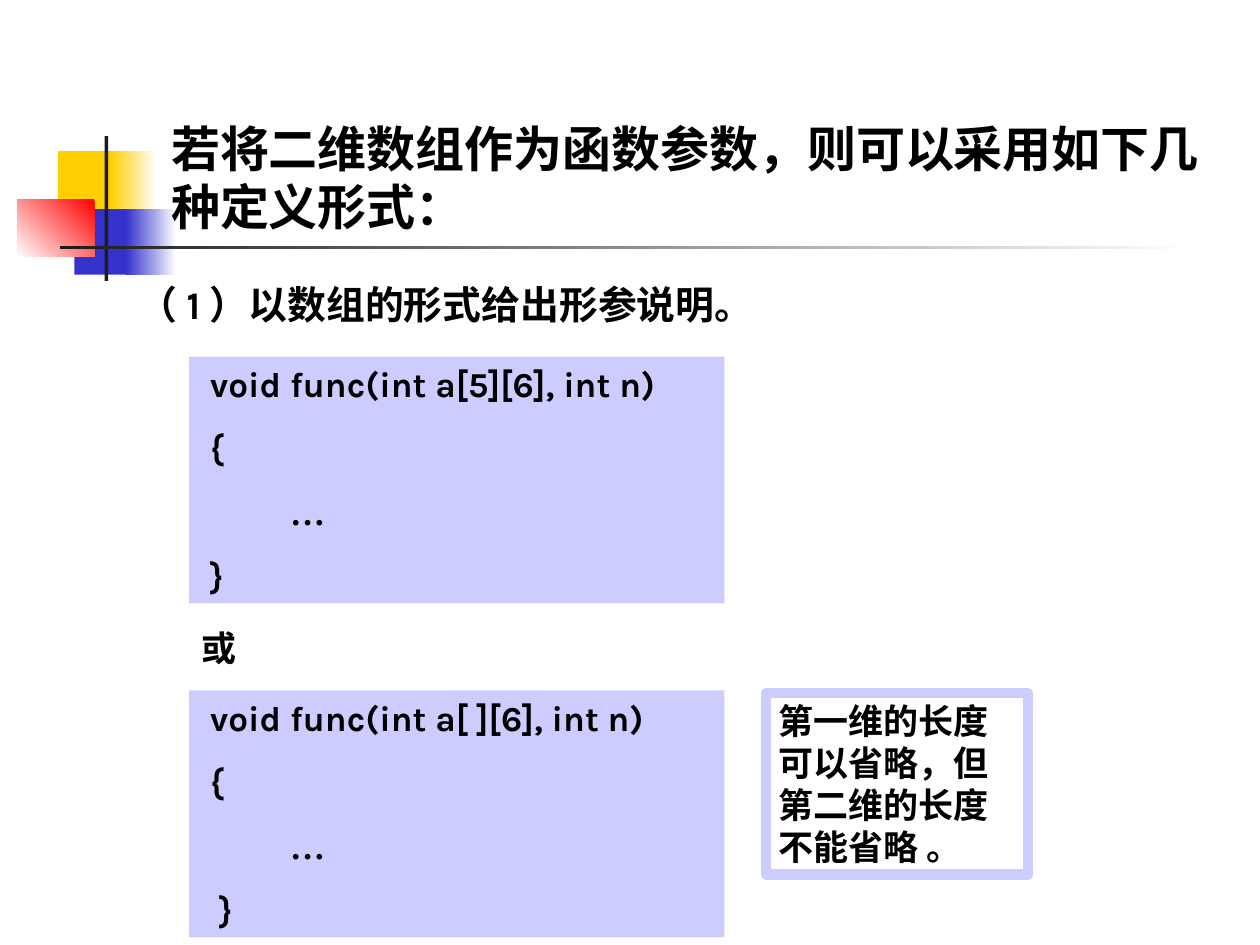
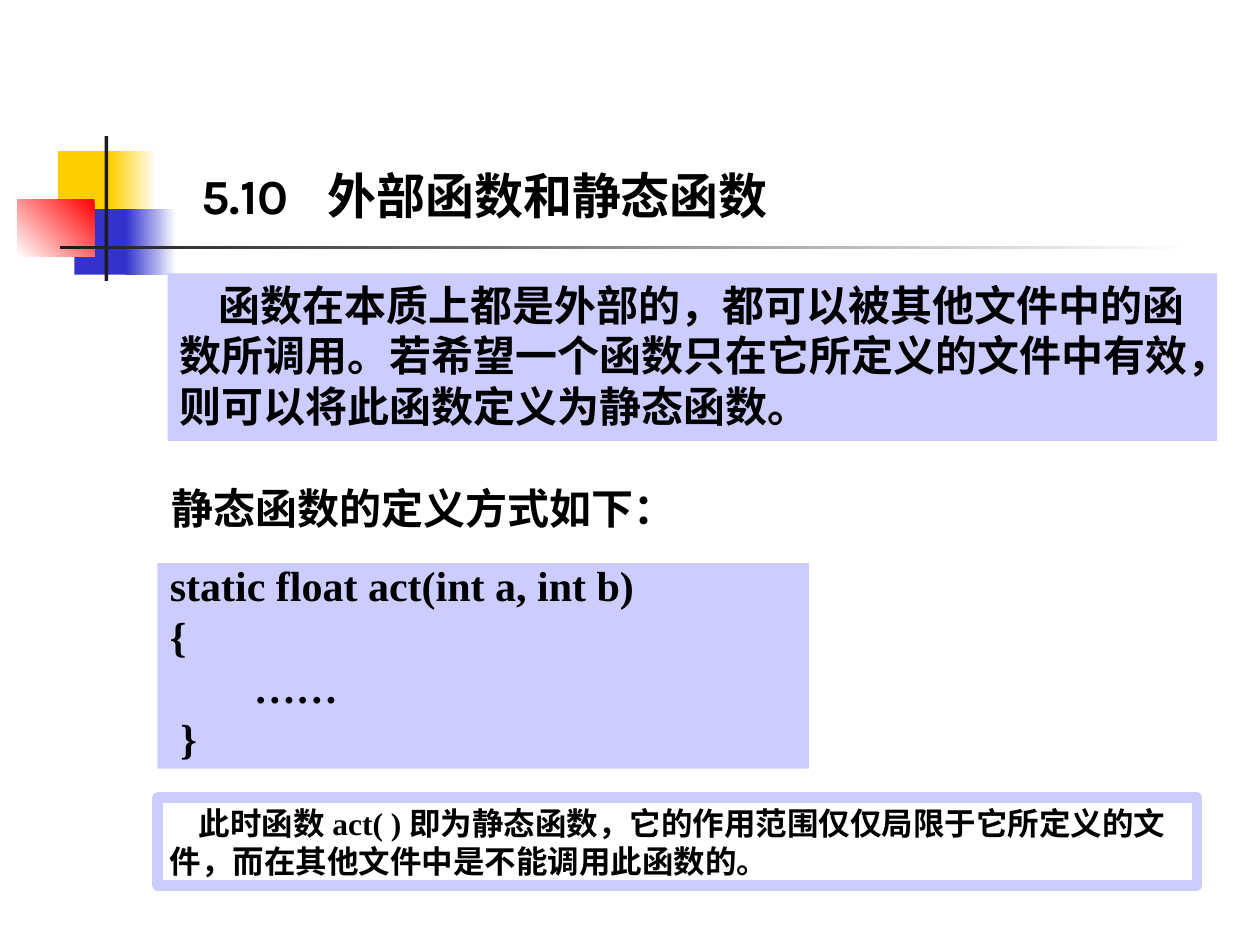
"""Builds two slides on array parameters and static functions in C."""
from lxml import etree
from pptx import Presentation
from pptx.dml.color import RGBColor
from pptx.enum import shapes, text
from pptx.oxml.ns import qn
from pptx.util import Pt

PX = 9144
GOLD = RGBColor(0xFF, 0xCF, 0x01)
BLUE = RGBColor(0x33, 0x33, 0xCC)
RED = RGBColor(0xFF, 0x00, 0x00)
DARK = RGBColor(0x1C, 0x1C, 0x1C)
LILAC = RGBColor(0xCC, 0xCC, 0xFF)
WHITE = RGBColor(0xFF, 0xFF, 0xFF)
BLACK = RGBColor(0x00, 0x00, 0x00)
KARLA, HAN, TIMES = "Karla", "Noto Sans CJK SC", "Times New Roman"


def panel(slide, place, fill=None, edge=None):
    shape = slide.shapes.add_shape(shapes.MSO_SHAPE.RECTANGLE, *[n * PX for n in place])
    shape.shadow.inherit = False
    if fill:
        shape.fill.solid()
        shape.fill.fore_color.rgb = fill
    else:
        shape.fill.background()
    if edge:
        shape.line.color.rgb = edge
        shape.line.width = Pt(6)
    else:
        shape.line.fill.background()
    return shape


def write(shape, size, paras, gap=0, lead=None, left=0, indent=0, tab=0, anchor=text.MSO_ANCHOR.TOP):
    frame = shape.text_frame
    frame.word_wrap = True
    frame.vertical_anchor = anchor
    for i, runs in enumerate(paras):
        para = frame.add_paragraph() if i else frame.paragraphs[0]
        para.alignment = text.PP_ALIGN.LEFT
        para.space_before = Pt(gap if i else 0)
        if lead:
            para.line_spacing = lead
        props = para._p.get_or_add_pPr()
        props.set("marL", str(left * PX))
        props.set("indent", str(indent * PX))
        if tab:
            stops = etree.SubElement(props, qn("a:tabLst"))
            etree.SubElement(stops, qn("a:tab"), pos=str(tab * PX), algn="l")
        for words, face in runs:
            run = para.add_run()
            run.text = words
            run.font.name = face
            run.font.size = Pt(size)
            run.font.bold = True
            run.font.color.rgb = BLACK
            etree.SubElement(run._r.get_or_add_rPr(), qn("a:ea"), typeface=HAN)


deck = Presentation()
deck.slide_width, deck.slide_height = 1000 * PX, 750 * PX

MOTIF = [
    ((46, 120, 48, 52), GOLD, None, 0),
    ((88, 120, 36, 52), WHITE, GOLD, 180),
    ((59, 166, 46, 52), BLUE, None, 0),
    ((100, 166, 40, 52), WHITE, BLUE, 180),
    ((14, 158, 61, 46), RED, WHITE, 225),
    ((83, 108, 3, 115), DARK, None, 0),
    ((48, 195, 900, 3), WHITE, DARK, 180),
]
TITLES = [
    ((126, 67, 852, 125), [("若将二维数组作为函数参数，则可以采用如下几种定义形式：", HAN)], 0),
    ((150, 125, 542, 58), [("5.10\t", KARLA), ("外部函数和静态函数", HAN)], 100),
]
pages = []
for place, title, tab in TITLES:
    page = deck.slides.add_slide(deck.slide_layouts[6])
    for spot, start, end, angle in MOTIF:
        block = panel(page, spot, start)
        if end:
            block.fill.gradient()
            block.fill.gradient_angle = angle
            for stop, tone, at in zip(block.fill.gradient_stops, (start, end), (0, 1)):
                stop.color.rgb = tone
                stop.position = at
    head = page.shapes.add_textbox(*[n * PX for n in place])
    write(head, 28, [title], tab=tab, anchor=text.MSO_ANCHOR.BOTTOM)
    pages.append(page)
first, second = pages

lead_in = first.shapes.add_textbox(100 * PX, 225 * PX, 546 * PX, 46 * PX)
write(lead_in, 22.2, [[("（", HAN), ("1", KARLA), ("）以数组的形式给出形参说明。", HAN)]],
      lead=0.8, left=38, indent=-38)

for top, size, close in [(283, "5", " }"), (548, " ", "  }")]:
    code = [[(f" void func(int a[{size}][6], int n)", KARLA)], [(" {", KARLA)],
            [("          ", KARLA), ("…", TIMES)], [(close, KARLA)]]
    write(panel(first, (150, top, 425, 196), LILAC), 20, code, gap=12.5)

either = first.shapes.add_textbox(150 * PX, 492 * PX, 58 * PX, 44 * PX)
write(either, 20, [[("或", KARLA)]])
write(panel(first, (608, 550, 208, 144), edge=LILAC), 20,
      [[("第一维的长度可以省略，但第二维的长度不能省略", HAN), (" 。", KARLA)]])

write(panel(second, (133, 217, 833, 133), LILAC), 24,
      [[("函数在本质上都是外部的，都可以被其他文件中的函数所调用。"
         "若希望一个函数只在它所定义的文件中有效，则可以将此函数定义为静态函数。", HAN)]], indent=31)
write(panel(second, (125, 633, 825, 70), edge=LILAC), 18,
      [[("此时函数", HAN), ("act( )", TIMES),
        ("即为静态函数，它的作用范围仅仅局限于它所定义的文件，而在其他文件中是不能调用此函数的。", HAN)]],
      indent=23)
lines = ["static float act(int a, int b)", "{", "        ……", " }"]
write(panel(second, (125, 447, 517, 163), LILAC), 24,
      [[(line, TIMES)] for line in lines], gap=6, lead=0.8)
intro = second.shapes.add_textbox(126 * PX, 378 * PX, 430 * PX, 50 * PX)
write(intro, 24, [[("静态函数的定义方式如下：", HAN)]])

deck.save("out.pptx")
